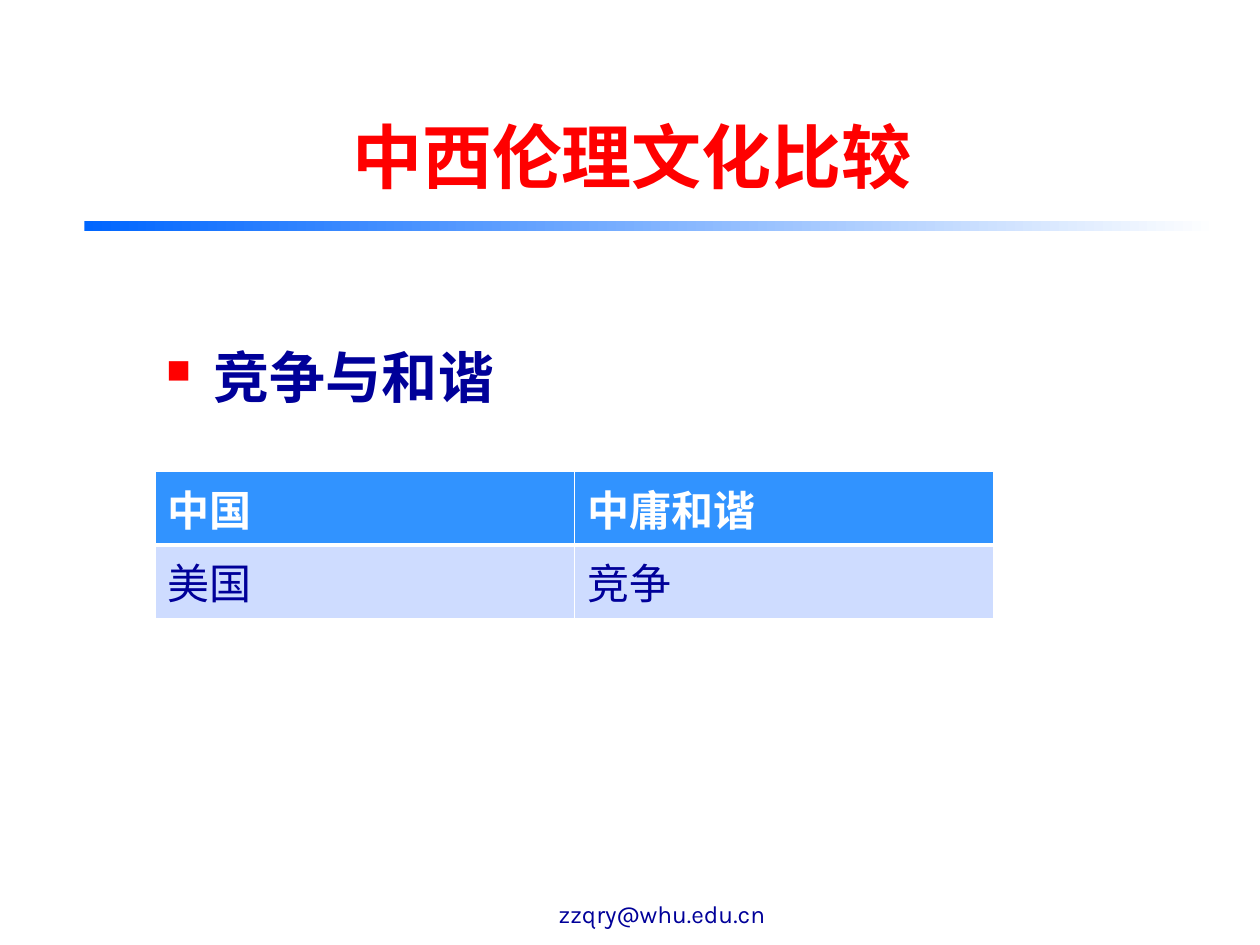
from lxml.etree import SubElement
from pptx import Presentation
from pptx.dml.color import RGBColor
from pptx.enum.shapes import MSO_SHAPE
from pptx.enum.text import MSO_ANCHOR, MSO_AUTO_SIZE, PP_ALIGN
from pptx.oxml.ns import qn
from pptx.util import Inches, Pt

RED = RGBColor(0xFF, 0x00, 0x00)
NAVY = RGBColor(0x00, 0x00, 0x99)
BLUE = RGBColor(0x00, 0x66, 0xFF)
SKY = RGBColor(0x31, 0x93, 0xFF)
PALE = RGBColor(0xCE, 0xDC, 0xFF)
WHITE = RGBColor(0xFF, 0xFF, 0xFF)

SANS = "Noto Sans CJK SC"
COLS, ROWS = 100, 75
UNIT = Inches(10) // COLS

ROWS_TEXT = [["中国", "中庸和谐"], ["美国", "竞争"]]
HEAD = {"size": Pt(24), "bold": True, "name": "Karla"}
CELL = {**HEAD, "bold": False}


def grid(*cells):
    """Turn grid columns and rows into lengths."""
    return [round(n * UNIT) for n in cells]


def style(para, form, color, east=SANS):
    for key, value in form.items():
        setattr(para.font, key, value)
    para.font.color.rgb = color
    for run in para.runs:
        for key, value in form.items():
            setattr(run.font, key, value)
        run.font.color.rgb = color
        SubElement(run.font._element, qn("a:ea"), typeface=east)


def place(shape, area):
    for key, value in zip(("left", "top", "width", "height"), grid(*area)):
        setattr(shape, key, value)


def write(shape, text, form, color, align, east=SANS, **frame):
    """Fill a bottom-anchored text shape and return its paragraph."""
    body = shape.text_frame
    looks = {"word_wrap": True, "auto_size": MSO_AUTO_SIZE.NONE,
             "vertical_anchor": MSO_ANCHOR.BOTTOM, **frame}
    for key, value in looks.items():
        setattr(body, key, value)
    para = body.paragraphs[0]
    para.text = text
    para.alignment = align
    style(para, form, color, east)
    return para


def bullet(para):
    props = para._p.get_or_add_pPr()
    props.set("marL", str(Inches(0.38)))
    props.set("indent", str(-Inches(0.38)))
    tint = SubElement(props, qn("a:buClr"))
    SubElement(tint, qn("a:srgbClr"), val=str(RED))
    SubElement(props, qn("a:buSzPct"), val="60000")
    SubElement(props, qn("a:buChar"), char="■")


def add_bar(slide, area):
    bar = slide.shapes.add_shape(MSO_SHAPE.RECTANGLE, *grid(*area))
    bar.shadow.inherit = False
    bar.line.fill.background()
    bar.fill.gradient()
    bar.fill.gradient_angle = 0
    for stop, color in zip(bar.fill.gradient_stops, (BLUE, WHITE)):
        stop.color.rgb = color


def edge(cell, side, width):
    line = SubElement(cell._tc.get_or_add_tcPr(), qn(f"a:ln{side}"),
                      w=str(Pt(width)))
    fill = SubElement(line, qn("a:solidFill"))
    SubElement(fill, qn("a:srgbClr"), val=str(WHITE))


def add_grid(slide, area, rows):
    table = slide.shapes.add_table(len(rows), len(rows[0]), *grid(*area)).table
    for r, row in enumerate(rows):
        form, color, back = (CELL, NAVY, PALE) if r else (HEAD, WHITE, SKY)
        for c, text in enumerate(row):
            cell = table.cell(r, c)
            for side in "LRTB":
                thick = side == ("T" if r else "B")
                edge(cell, side, 3 if thick else 1)
            cell.fill.solid()
            cell.fill.fore_color.rgb = back
            cell.text = text
            para = cell.text_frame.paragraphs[0]
            para.alignment = PP_ALIGN.LEFT
            style(para, form, color)


def main():
    deck = Presentation()
    deck.slide_width, deck.slide_height = grid(COLS, ROWS)
    slide = deck.slides.add_slide(deck.slide_layouts[5])
    add_bar(slide, (6.7, 17.5, 90, 0.8))

    title = slide.shapes.title
    place(title, (11.4, 7.6, 78.8, 8.2))
    face = "Noto Sans CJK JP"
    write(title, "中西伦理文化比较",
          {"size": Pt(40), "bold": True, "name": face}, RED, PP_ALIGN.CENTER,
          face, margin_right=Inches(0.23), margin_bottom=Inches(0.01))

    point = slide.shapes.add_textbox(*grid(12.2, 20.2, 70, 13.4))
    para = write(point, "竞争与和谐",
                 {"size": Pt(32), "bold": True, "name": SANS}, NAVY,
                 PP_ALIGN.LEFT, margin_bottom=Inches(0.11))
    bullet(para)

    add_grid(slide, (12.3, 37.4, 66.6, 11.6), ROWS_TEXT)

    foot = slide.shapes.add_textbox(*grid(36.7, 69.2, 31.7, 5))
    write(foot, "zzqry@whu.edu.cn", {"size": Pt(14), "name": "Karla"}, NAVY,
          PP_ALIGN.CENTER)
    deck.save("out.pptx")


if __name__ == "__main__":
    main()
